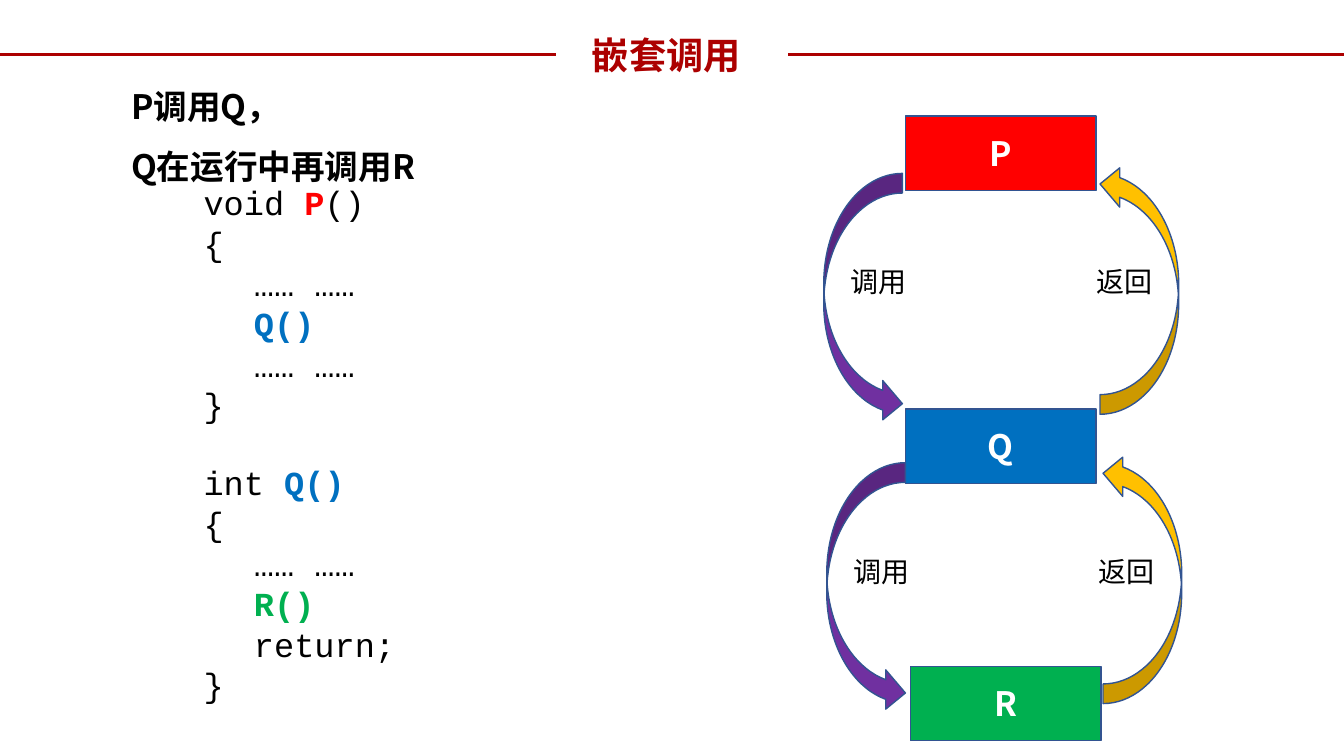
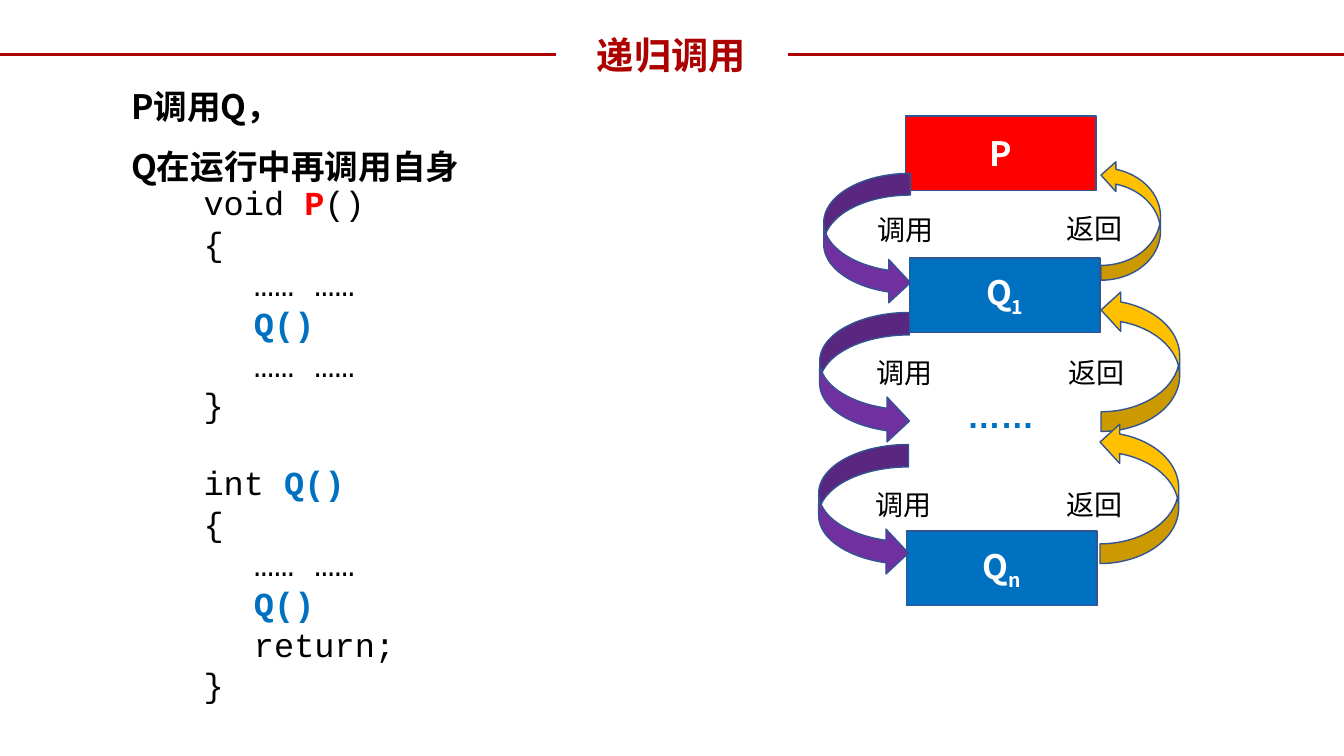
from lxml import etree
from pptx import Presentation
from pptx.dml.color import RGBColor
from pptx.enum.shapes import MSO_CONNECTOR, MSO_SHAPE
from pptx.enum.text import MSO_ANCHOR, MSO_AUTO_SIZE, PP_ALIGN
from pptx.oxml.ns import qn
from pptx.util import Inches, Pt

RECT, ARROW = MSO_SHAPE.RECTANGLE, MSO_SHAPE.CURVED_RIGHT_ARROW
STRAIGHT = MSO_CONNECTOR.STRAIGHT
CENTER, LEFT = PP_ALIGN.CENTER, PP_ALIGN.LEFT
TOP, MIDDLE = MSO_ANCHOR.TOP, MSO_ANCHOR.MIDDLE

SLIDE_W, SLIDE_H = 13.33, 7.5
BOX_W, BOX_H = 1.89, 0.74
LABEL_W, LABEL_H = 0.78, 0.44
RULE_Y, RULE_W = 0.54, 5.51
CODE_LINE = 27.2  # height of one code line in points

SANS, MONO, DOTS_FONT = "Noto Sans CJK SC", "Courier New", "Arial"
COLORS = {
    "title": "AC0000", "text": "000000", "white": "FFFFFF", "edge": "325491",
    "P": "FF0000", "Q": "0070C0", "R": "00B050",
    "call": "7030A0", "return": "FFC000",
}


def code_lines(inner):
    """Lines of (text, colour) parts; Q calls the function named inner."""
    dots = [("\t…… ……", "text")]
    return [
        [("void ", "text"), ("P", "P"), ("()", "text")],
        [("{", "text")],
        dots,
        [("\t", "text"), ("Q()", "Q")],
        dots,
        [("}", "text")],
        [("int ", "text"), ("Q()", "Q")],
        [("{", "text")],
        dots,
        [("\t", "text"), (inner + "()", inner)],
        [("\treturn;", "text")],
        [("}", "text")],
    ]


# boxes: name, subscript, left, top
# steps: call arrow, return arrow (left, top, width, height), then label corners
SLIDES = [
    {
        "title": "嵌套调用", "title_x": 5.3,
        "points": ["P调用Q，", "Q在运行中再调用R"],
        "inner": "R",
        "boxes": [("P", "", 8.98, 1.15), ("Q", "", 8.98, 4.06), ("R", "", 9.03, 6.61)],
        "steps": [
            ((8.17, 1.72, 0.78, 2.48), (10.91, 1.63, 0.78, 2.48), (8.34, 2.58), (10.78, 2.58)),
            ((8.2, 4.59, 0.78, 2.48), (10.94, 4.5, 0.78, 2.48), (8.37, 5.45), (10.8, 5.45)),
        ],
        "dots": None,
    },
    {
        "title": "递归调用", "title_x": 5.35,
        "points": ["P调用Q，", "Q在运行中再调用自身"],
        "inner": "Q",
        "boxes": [("P", "", 8.98, 1.15), ("Q", "1", 9.02, 2.56), ("Q", "n", 8.99, 5.27)],
        "steps": [
            ((8.17, 1.72, 0.86, 1.3), (10.92, 1.59, 0.59, 1.19), (8.6, 2.06), (10.48, 2.05)),
            ((8.13, 3.1, 0.89, 1.3), (10.92, 2.88, 0.78, 1.4), (8.59, 3.48), (10.5, 3.48)),
            ((8.12, 4.41, 0.89, 1.3), (10.91, 4.19, 0.78, 1.4), (8.58, 4.79), (10.48, 4.79)),
        ],
        "dots": (9.11, 3.87, 1.63, 0.5),
    },
]


def rgb(name):
    return RGBColor.from_string(COLORS[name])


def inches(*values):
    return [Inches(v) for v in values]


def add_run(p, text, size, color, bold=False, font=SANS):
    r = p.add_run()
    r.text = text
    r.font.size, r.font.bold, r.font.name = Pt(size), bold, font
    r.font.color.rgb = rgb(color)
    etree.SubElement(r.font._element, qn("a:ea")).set("typeface", font)
    return r


def fill_text(tf, lines, size, bold=False, font=SANS, align=LEFT, anchor=TOP):
    """Write lines of (text, colour) parts; coloured parts of code are bold."""
    tf.word_wrap, tf.auto_size, tf.vertical_anchor = True, MSO_AUTO_SIZE.NONE, anchor
    for i, parts in enumerate(lines):
        p = tf.paragraphs[0] if i == 0 else tf.add_paragraph()
        p.alignment, p.space_before = align, Pt(0)
        for text, color in parts:
            add_run(p, text, size, color, bold or color != "text", font)
    return tf.paragraphs


def add_text(s, at, lines, size, **style):
    return fill_text(s.shapes.add_textbox(*inches(*at)).text_frame, lines, size, **style)


def place(sp, at):
    sp.left, sp.top, sp.width, sp.height = inches(*at)


def add_figure(s, kind, at, color, rotation=0):
    sp = s.shapes.add_shape(kind, *inches(*at))
    sp.shadow.inherit = False
    sp.rotation = rotation
    sp.fill.solid()
    sp.fill.fore_color.rgb = rgb(color)
    sp.line.color.rgb = rgb("edge")
    sp.line.width = Pt(1)
    return sp


def add_heading(s, title, x):
    for left in (0, SLIDE_W - RULE_W):
        line = s.shapes.add_connector(
            STRAIGHT, *inches(left, RULE_Y, left + RULE_W, RULE_Y))
        line.line.color.rgb = rgb("title")
        line.line.width = Pt(2)
        etree.SubElement(line._element.spPr, qn("a:effectLst"))
    place(s.shapes.title, (x, 0.27, 2.62, 0.55))
    fill_text(s.shapes.title.text_frame, [[(title, "title")]], 26.6,
              align=CENTER, anchor=MIDDLE)


def add_points(s, points):
    body = s.placeholders[1]
    place(body, (1.2, 0.6, 4.83, 1.24))
    lines = [[(point, "text")] for point in points]
    for p in fill_text(body.text_frame, lines, 24, bold=True):
        p.line_spacing = 1.5
        pPr = p._p.get_or_add_pPr()
        pPr.set("marL", "0")
        pPr.set("indent", "0")
        etree.SubElement(pPr, qn("a:buNone"))


def add_code(s, inner):
    lines = code_lines(inner)
    paragraphs = add_text(s, (1.92, 1.76, 3.38, 5.35), lines, 24, font=MONO)
    second_function = [line[0][0] for line in lines].index("int ")
    paragraphs[second_function].space_before = Pt(CODE_LINE)


def add_box(s, name, subscript, left, top):
    sp = add_figure(s, RECT, (left, top, BOX_W, BOX_H), name)
    p = fill_text(sp.text_frame, [[(name, "white")]], 24, bold=True,
                  align=CENTER, anchor=MIDDLE)[0]
    if subscript:
        r = add_run(p, subscript, 24, "white", True)
        r.font._element.set("baseline", "-25000")


def add_step(s, call, back, call_label, back_label):
    add_figure(s, ARROW, call, "call")
    add_figure(s, ARROW, back, "return", 180)
    for text, corner in (("调用", call_label), ("返回", back_label)):
        add_text(s, (*corner, LABEL_W, LABEL_H), [[(text, "text")]], 20)


def main():
    prs = Presentation()
    prs.slide_width, prs.slide_height = inches(SLIDE_W, SLIDE_H)
    for content in SLIDES:
        s = prs.slides.add_slide(prs.slide_layouts[1])
        add_heading(s, content["title"], content["title_x"])
        add_points(s, content["points"])
        add_code(s, content["inner"])
        for box in content["boxes"]:
            add_box(s, *box)
        for step in content["steps"]:
            add_step(s, *step)
        if content["dots"]:
            add_text(s, content["dots"], [[("……", "Q")]], 24,
                     font=DOTS_FONT, align=CENTER)
    prs.save("out.pptx")


if __name__ == "__main__":
    main()
